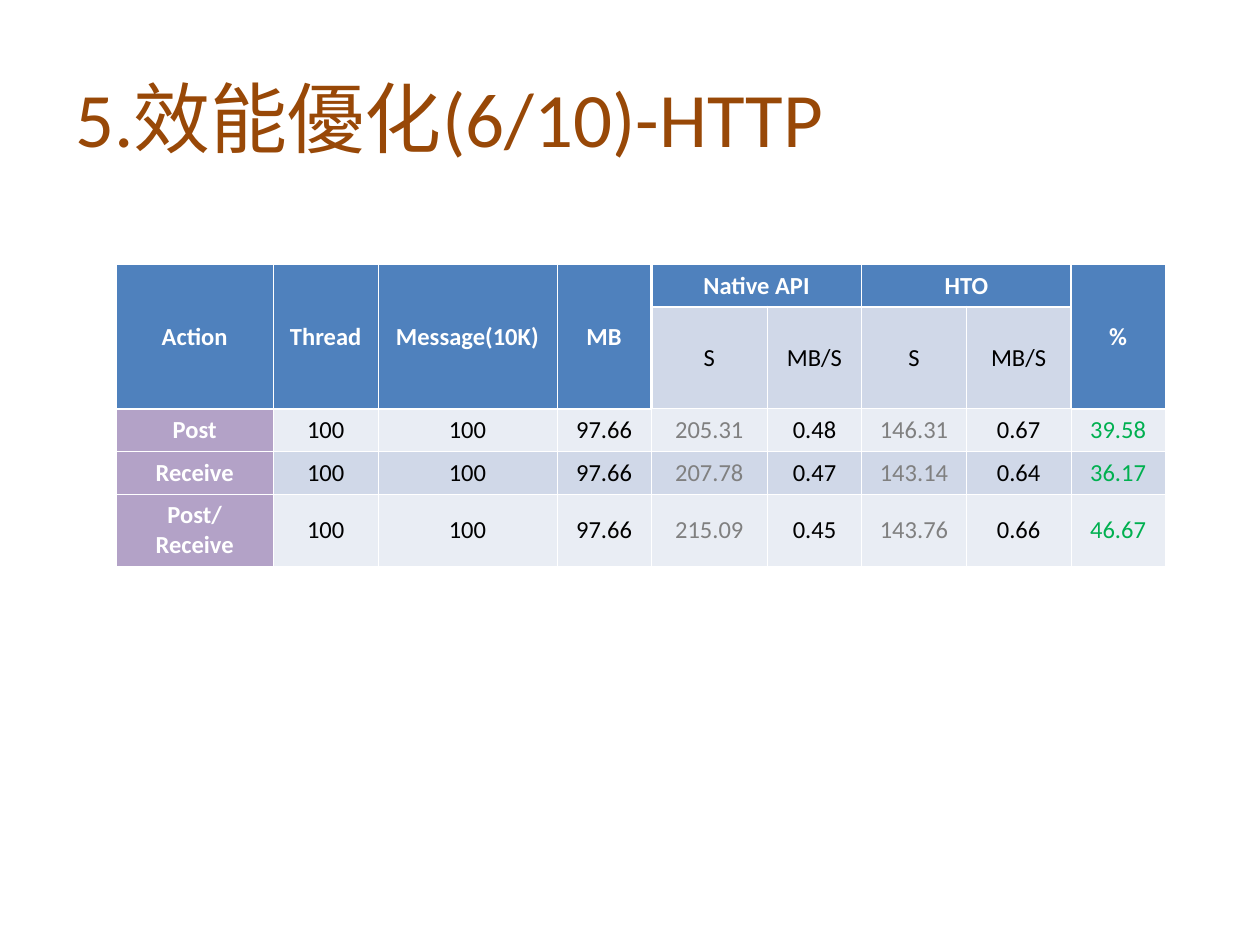
from dataclasses import dataclass

from lxml.etree import SubElement
from pptx import Presentation
from pptx.dml.color import RGBColor as Rgb
from pptx.enum.text import MSO_ANCHOR as Anchor, PP_ALIGN as Align
from pptx.oxml.ns import qn
from pptx.util import Inches, Pt


@dataclass(frozen=True)
class Theme:
    font: str = "Calibri"
    title_size: float = 44
    table_size: float = 14
    title: str = "984807"
    header: str = "4F81BD"
    action: str = "B3A2C7"
    light_band: str = "E9EDF4"
    dark_band: str = "D0D8E8"
    white: str = "FFFFFF"
    black: str = "000000"
    seconds: str = "808080"
    gain: str = "00B050"
    thin: float = 0.45
    thick: float = 1.47


@dataclass(frozen=True)
class CellStyle:
    fill: str
    color: str
    bold: bool = False


THEME = Theme()
HEADER = CellStyle(THEME.header, THEME.white, True)
ACTION = CellStyle(THEME.action, THEME.white, True)
SUBHEADER = CellStyle(THEME.dark_band, THEME.black)

COLUMN_WIDTHS = [1.25, 0.83, 1.42, 0.75, 0.92, 0.75, 0.83, 0.83, 0.75]
ROW_HEIGHTS = [0.33, 0.81, 0.34, 0.34, 0.57]
GROUP_COLUMNS = range(4, 8)
SECONDS_COLUMNS = (4, 6)
GAIN_COLUMN = 8
RESULTS = [
    ["Action", "Thread", "Message(10K)", "MB", "Native API", "", "HTO", "", "%"],
    ["", "", "", "", "S", "MB/S", "S", "MB/S", ""],
    ["Post", "100", "100", "97.66", "205.31", "0.48", "146.31", "0.67", "39.58"],
    ["Receive", "100", "100", "97.66", "207.78", "0.47", "143.14", "0.64", "36.17"],
    ["Post/Receive", "100", "100", "97.66", "215.09", "0.45", "143.76", "0.66", "46.67"],
]


def cell_style(row: int, column: int) -> CellStyle:
    if row < 2:
        return SUBHEADER if row == 1 and column in GROUP_COLUMNS else HEADER
    if column == 0:
        return ACTION
    band = THEME.dark_band if row % 2 else THEME.light_band
    if column in SECONDS_COLUMNS:
        return CellStyle(band, THEME.seconds)
    return CellStyle(band, THEME.gain if column == GAIN_COLUMN else THEME.black)


def border_widths(row: int, column: int) -> dict[str, float]:
    in_group = column in GROUP_COLUMNS
    thick_sides = {
        "L": row < 2 and column in (GROUP_COLUMNS.start, GROUP_COLUMNS.stop),
        "R": row < 2 and column + 1 in (GROUP_COLUMNS.start, GROUP_COLUMNS.stop),
        "T": (row == 1 and in_group) or (row == 2 and not in_group),
        "B": row < 2 and cell_style(row, column) == HEADER,
    }
    return {side: THEME.thick if thick else THEME.thin for side, thick in thick_sides.items()}


def set_font(font, size: float, color: str, bold: bool = False) -> None:
    for name, value in {"name": THEME.font, "size": Pt(size), "bold": bold}.items():
        setattr(font, name, value)
    font.color.rgb = Rgb.from_string(color)


def draw_borders(cell, widths: dict[str, float]) -> None:
    properties = cell._tc.get_or_add_tcPr()
    for side, width in widths.items():
        line = SubElement(properties, qn(f"a:ln{side}"), w=str(Pt(width)))
        SubElement(SubElement(line, qn("a:solidFill")), qn("a:srgbClr"), val=THEME.white)


def draw_cell(cell, text: str, style: CellStyle, borders: dict[str, float]) -> None:
    draw_borders(cell, borders)
    cell.fill.solid()
    cell.fill.fore_color.rgb = Rgb.from_string(style.fill)
    cell.vertical_anchor = Anchor.MIDDLE
    paragraph = cell.text_frame.paragraphs[0]
    paragraph.alignment = Align.CENTER
    set_font(paragraph.font, THEME.table_size, style.color, style.bold)
    if text:
        run = paragraph.add_run()
        run.text = text
        set_font(run.font, THEME.table_size, style.color, style.bold)


def draw_title(slide, text: str) -> None:
    title = slide.shapes.add_textbox(Inches(0.5), Inches(0.3), Inches(9), Inches(1.25))
    frame = title.text_frame
    for name, value in {"word_wrap": True, "vertical_anchor": Anchor.MIDDLE}.items():
        setattr(frame, name, value)
    run = frame.paragraphs[0].add_run()
    run.text = text
    set_font(run.font, THEME.title_size, THEME.title)


def draw_results(slide) -> None:
    results = slide.shapes.add_table(
        len(ROW_HEIGHTS), len(COLUMN_WIDTHS), Inches(0.92), Inches(2.1),
        Inches(sum(COLUMN_WIDTHS)), Inches(sum(ROW_HEIGHTS)),
    ).table
    for column, width in zip(results.columns, COLUMN_WIDTHS):
        column.width = Inches(width)
    for row, height in zip(results.rows, ROW_HEIGHTS):
        row.height = Inches(height)
    for row, values in enumerate(RESULTS):
        for column, text in enumerate(values):
            draw_cell(results.cell(row, column), text,
                      cell_style(row, column), border_widths(row, column))
    for column in range(len(COLUMN_WIDTHS)):
        if column not in GROUP_COLUMNS:
            results.cell(0, column).merge(results.cell(1, column))
    for column in GROUP_COLUMNS[::2]:
        results.cell(0, column).merge(results.cell(0, column + 1))


def main() -> None:
    deck = Presentation()
    deck.slide_width, deck.slide_height = Inches(10), Inches(7.5)
    slide = deck.slides.add_slide(deck.slide_layouts[6])
    draw_title(slide, "5.效能優化(6/10)-HTTP")
    draw_results(slide)
    deck.save("out.pptx")


if __name__ == "__main__":
    main()
